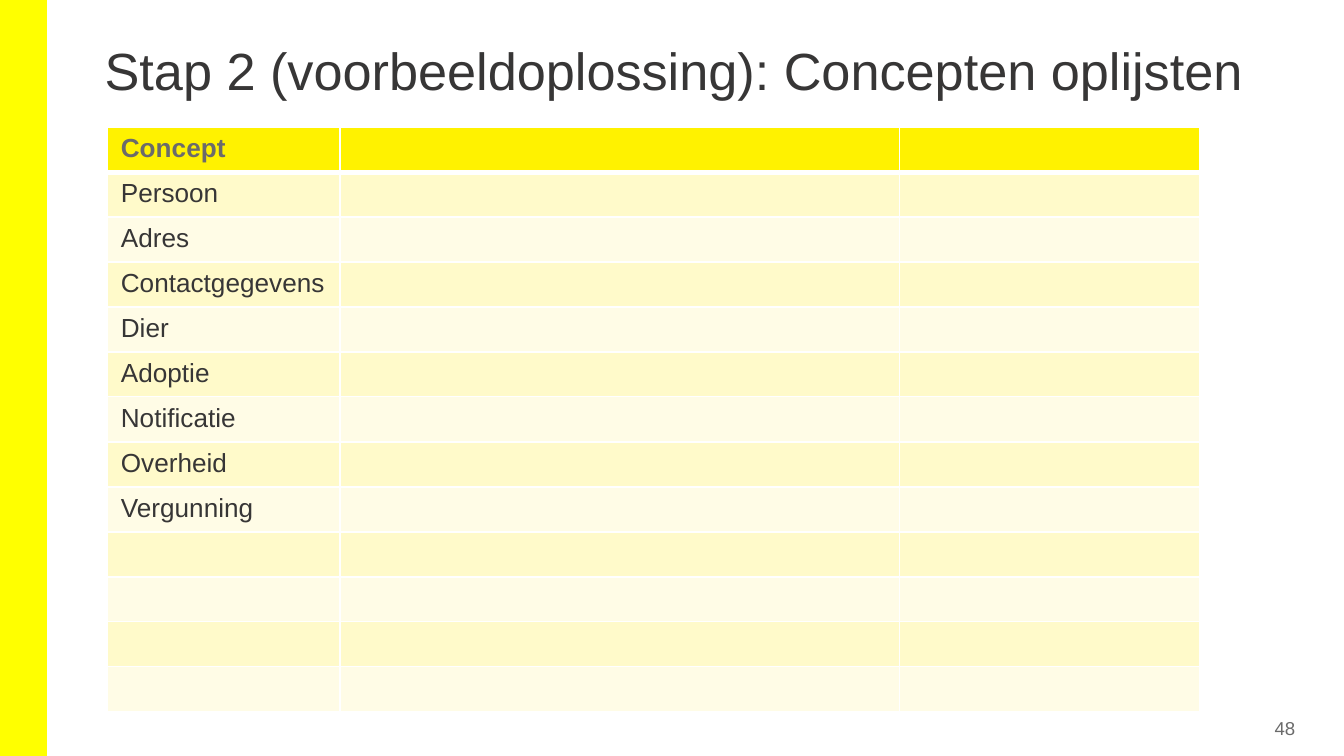
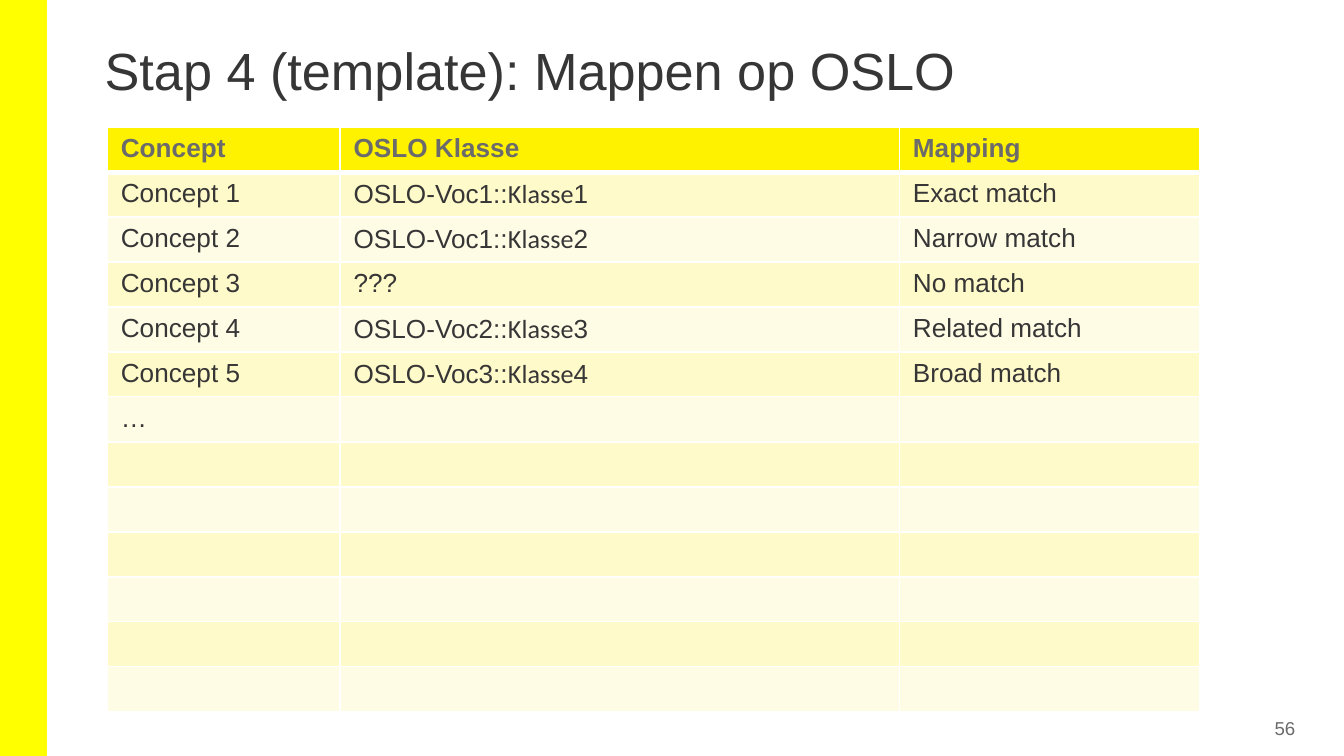
import collections

import pptx
import pptx.dml.color
import pptx.enum.shapes
import pptx.enum.text
import pptx.oxml.ns
import pptx.util
from lxml import etree

Cm = pptx.util.Cm
Pt = pptx.util.Pt
Box = collections.namedtuple("Box", "left top width height")

SLIDE_WIDTH, SLIDE_HEIGHT = Cm(25.4), Cm(14.29)
BAND_BOX = Box(0, 0, Cm(0.89), SLIDE_HEIGHT)
TITLE_BOX = Box(Cm(1.75), Cm(0.76), Cm(22.66), Cm(2.06))
NUMBER_BOX = Box(Cm(22.68), Cm(13.49), Cm(1.9), Cm(0.53))
TABLE_BOX = Box(Cm(2.03), Cm(2.41), Cm(20.65), Cm(8.41))

BAND, HEADER, ODD_ROW, EVEN_ROW = "FFFF00", "FFF200", "FFFACA", "FFFCE6"
INK, GREY, WHITE = "373636", "6B6B6B", "FFFFFF"
FONT, CLASS_FONT = "Arial", "Calibri"

COLUMN_SHARES = (0.213, 0.512, 0.275)
ROW_COUNT = 13
HEADER_HEIGHT, ROW_HEIGHT = Cm(0.84), Cm(0.61)
TALL_ROW, TALL_HEIGHT = 6, Cm(0.86)


def rgb(value):
    return pptx.dml.color.RGBColor.from_string(value)


def write_text(frame, text, size=14, color=INK, bold=False, align=None, spacing=None):
    """Fill a text frame; text is a string or a list of (string, font) runs."""
    paragraph = frame.paragraphs[0]
    if align is not None:
        paragraph.alignment = align
    if spacing is not None:
        paragraph.line_spacing = spacing
    if not text:
        paragraph._p.get_or_add_endParaRPr().set("sz", str(size * 100))
        return
    for words, font in [(text, FONT)] if isinstance(text, str) else text:
        run = paragraph.add_run()
        run.text = words
        run.font.name = font
        run.font.size = Pt(size)
        run.font.bold = bold
        run.font.color.rgb = rgb(color)


def add_label(slide, box, text, side, anchor, **style):
    frame = slide.shapes.add_textbox(*box).text_frame
    frame.word_wrap = True
    frame.vertical_anchor = anchor
    frame.margin_left = frame.margin_right = side
    frame.margin_top = frame.margin_bottom = Cm(0.1)
    write_text(frame, text, **style)


def add_band(slide, box):
    band = slide.shapes.add_shape(pptx.enum.shapes.MSO_SHAPE.RECTANGLE, *box)
    band.shadow.inherit = False
    band.fill.solid()
    band.fill.fore_color.rgb = rgb(BAND)
    band.line.fill.background()


def set_borders(cell, **widths):
    """Draw white borders; widths are in points, keyed L, R, T and B."""
    qn = pptx.oxml.ns.qn
    properties = cell._tc.get_or_add_tcPr()
    for edge, width in widths.items():
        line = etree.SubElement(properties, qn("a:ln" + edge), w=str(Pt(width)))
        fill = etree.SubElement(line, qn("a:solidFill"))
        etree.SubElement(fill, qn("a:srgbClr"), val=WHITE)


def add_concept_table(slide, box, header, rows):
    columns = len(COLUMN_SHARES)
    table = slide.shapes.add_table(ROW_COUNT, columns, *box).table
    for column, share in zip(table.columns, COLUMN_SHARES):
        column.width = int(box.width * share)
    for r, row in enumerate(table.rows):
        row.height = {0: HEADER_HEIGHT, TALL_ROW: TALL_HEIGHT}.get(r, ROW_HEIGHT)

    lines = [header, *rows]
    for r in range(ROW_COUNT):
        texts = lines[r] if r < len(lines) else ()
        is_header = r == 0
        background = HEADER if is_header else ODD_ROW if r % 2 else EVEN_ROW
        for c in range(columns):
            cell = table.cell(r, c)
            set_borders(cell, L=1, R=1, T=3 if r == 1 else 1, B=3 if is_header else 1)
            cell.fill.solid()
            cell.fill.fore_color.rgb = rgb(background)
            write_text(cell.text_frame, texts[c] if c < len(texts) else "",
                       color=GREY if is_header else INK, bold=is_header)


def oslo_class(vocabulary, number):
    return [(f"OSLO-Voc{vocabulary}::", FONT), ("Klasse", CLASS_FONT), (str(number), FONT)]


def add_concept_slide(deck, title, number, header, rows):
    slide = deck.slides.add_slide(deck.slide_layouts[6])
    anchors = pptx.enum.text.MSO_ANCHOR
    add_band(slide, BAND_BOX)
    add_label(slide, NUMBER_BOX, number, Cm(0.1), anchors.MIDDLE, size=10, color=GREY,
              align=pptx.enum.text.PP_ALIGN.RIGHT)
    add_label(slide, TITLE_BOX, title, Cm(0.23), anchors.TOP, size=28, spacing=0.9)
    add_concept_table(slide, TABLE_BOX, header, rows)


def main():
    deck = pptx.Presentation()
    deck.slide_width, deck.slide_height = SLIDE_WIDTH, SLIDE_HEIGHT

    concepts = ("Persoon", "Adres", "Contactgegevens", "Dier", "Adoptie",
                "Notificatie", "Overheid", "Vergunning")
    add_concept_slide(deck, "Stap 2 (voorbeeldoplossing): Concepten oplijsten", "48",
                      ("Concept",), [(concept,) for concept in concepts])

    mappings = [
        (oslo_class(1, 1), "Exact match"),
        (oslo_class(1, 2), "Narrow match"),
        ("???", "No match"),
        (oslo_class(2, 3), "Related match"),
        (oslo_class(3, 4), "Broad match"),
    ]
    rows = [(f"Concept {i}", *mapping) for i, mapping in enumerate(mappings, 1)]
    add_concept_slide(deck, "Stap 4 (template): Mappen op OSLO", "56",
                      ("Concept", "OSLO Klasse", "Mapping"), [*rows, ("…",)])

    deck.save("out.pptx")


if __name__ == "__main__":
    main()
